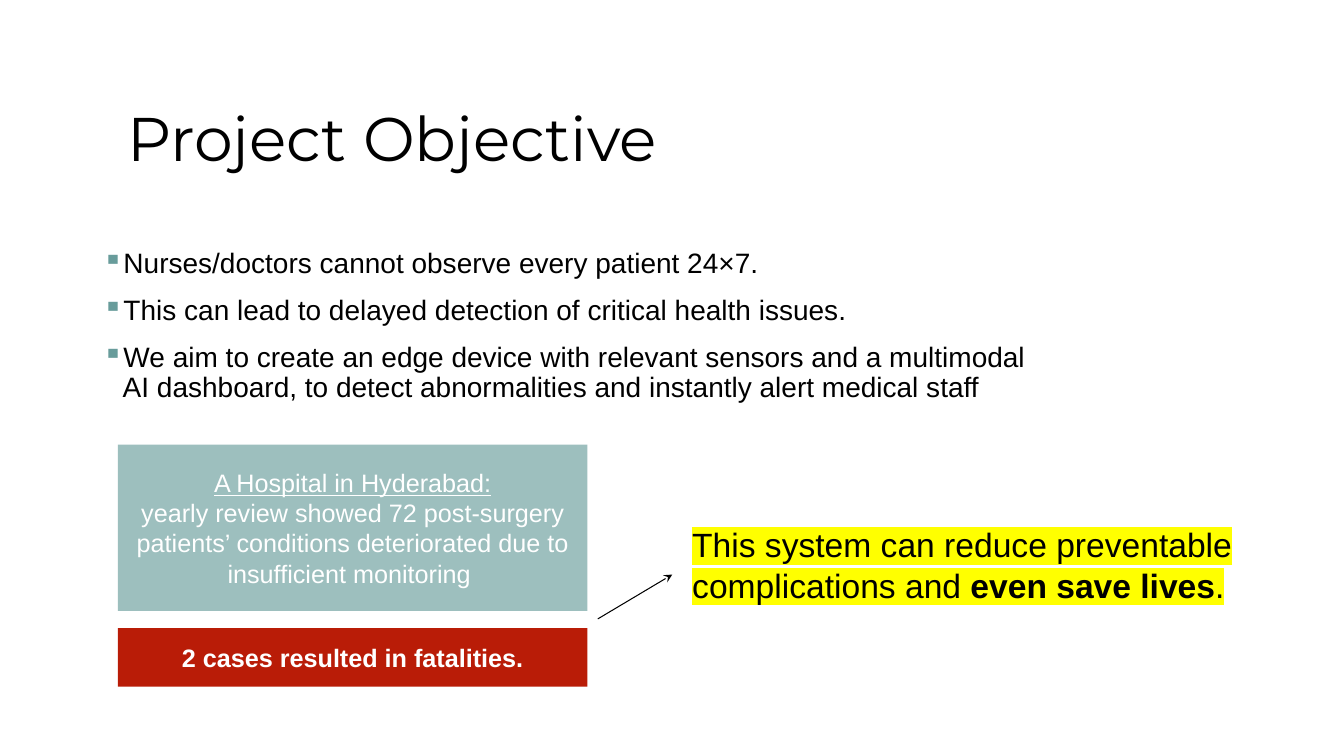
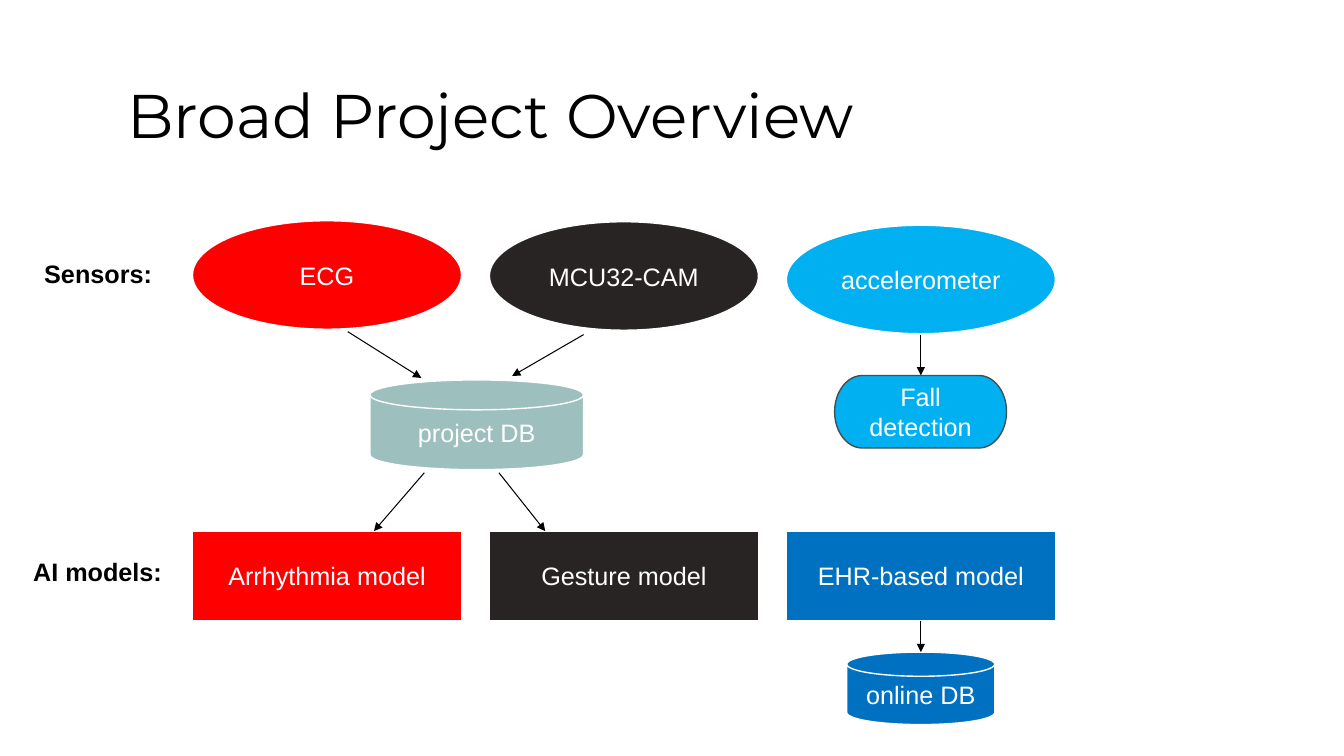
from dataclasses import dataclass
from typing import NamedTuple

from lxml.etree import SubElement
from pptx import Presentation
from pptx.dml.color import RGBColor
from pptx.enum.shapes import MSO_CONNECTOR, MSO_SHAPE
from pptx.enum.text import MSO_ANCHOR, PP_ALIGN
from pptx.oxml.ns import qn
from pptx.util import Pt


# Theme: colours, fonts and type sizes
@dataclass(frozen=True)
class Theme:
    black: str = "000000"
    white: str = "FFFFFF"
    sage: str = "9DBFBE"
    bullet: str = "689C9B"
    slate: str = "425050"
    brick: str = "B91C07"
    yellow: str = "FFFF00"
    red: str = "FF0000"
    charcoal: str = "282424"
    sky: str = "00B0F0"
    blue: str = "0070C0"
    title_font: str = "Montserrat"
    body_font: str = "Arial"
    title_size: float = 44
    callout_size: float = 24
    bullet_size: float = 20
    label_size: float = 18
    outline: float = 1
    arrow: float = 0.75


THEME = Theme()


# Repeated elements, all lengths in points
class Frame(NamedTuple):
    left: float
    top: float
    width: float
    height: float

    def lengths(self) -> list[Pt]:
        return [Pt(value) for value in self]


@dataclass(frozen=True)
class Node:
    text: str
    frame: Frame
    fill: str
    kind: MSO_SHAPE = MSO_SHAPE.RECTANGLE
    line: str | None = THEME.white
    bold: bool = False
    heading: str = ""


class Arrow(NamedTuple):
    start: tuple[float, float]
    end: tuple[float, float]
    head: str = "triangle"


# Text helpers
def write(para, text: str, *, size: float = THEME.label_size,
          font: str = THEME.body_font, color: str = THEME.black,
          bold: bool = False, underline: bool = False,
          highlight: str | None = None) -> None:
    span = para.add_run()
    span.text = text
    span.font.size = Pt(size)
    span.font.bold = bold
    span.font.underline = underline
    span.font.color.rgb = RGBColor.from_string(color)
    span.font.name = font
    if highlight:
        properties = span.font._element
        mark = SubElement(properties, qn("a:highlight"))
        SubElement(mark, qn("a:srgbClr"), val=highlight)
        properties.find(qn("a:latin")).addprevious(mark)


def add_text_box(page, frame: Frame, anchor=MSO_ANCHOR.TOP):
    text_frame = page.shapes.add_textbox(*frame.lengths()).text_frame
    text_frame.word_wrap = True
    text_frame.vertical_anchor = anchor
    return text_frame


def add_title(page, text: str, width: float, height: float) -> None:
    box = add_text_box(page, Frame(84, 38, width, height), MSO_ANCHOR.MIDDLE)
    para = box.paragraphs[0]
    para.line_spacing = 0.9
    write(para, text, size=THEME.title_size, font=THEME.title_font)


def add_bullets(page, frame: Frame, items: list[str]) -> None:
    box = add_text_box(page, frame)
    for index, item in enumerate(items):
        para = box.add_paragraph() if index else box.paragraphs[0]
        para.line_spacing = 0.9
        para.space_after = Pt(12)
        properties = para._p.get_or_add_pPr()
        properties.set("marL", str(Pt(14.4)))
        properties.set("indent", str(-Pt(14.4)))
        color = SubElement(properties, qn("a:buClr"))
        SubElement(color, qn("a:srgbClr"), val=THEME.bullet)
        SubElement(properties, qn("a:buChar"), char="▪")
        write(para, item, size=THEME.bullet_size)


# Shape helpers
def add_node(page, node: Node) -> None:
    shape = page.shapes.add_shape(node.kind, *node.frame.lengths())
    shape.shadow.inherit = False
    shape.fill.solid()
    shape.fill.fore_color.rgb = RGBColor.from_string(node.fill)
    if node.line:
        shape.line.color.rgb = RGBColor.from_string(node.line)
        shape.line.width = Pt(THEME.outline)
    else:
        shape.line.fill.background()
    shape.text_frame.word_wrap = True
    shape.text_frame.vertical_anchor = MSO_ANCHOR.MIDDLE
    para = shape.text_frame.paragraphs[0]
    para.alignment = PP_ALIGN.CENTER
    if node.heading:
        write(para, node.heading, color=THEME.white, underline=True)
        para.add_line_break()
    write(para, node.text, color=THEME.white, bold=node.bold)


def add_arrow(page, arrow: Arrow) -> None:
    ends = [Pt(value) for value in (*arrow.start, *arrow.end)]
    connector = page.shapes.add_connector(MSO_CONNECTOR.STRAIGHT, *ends)
    connector.line.color.rgb = RGBColor.from_string(THEME.black)
    connector.line.width = Pt(THEME.arrow)
    properties = connector._element.spPr
    SubElement(properties.find(qn("a:ln")), qn("a:tailEnd"), type=arrow.head)
    SubElement(properties, qn("a:effectLst"))


# Slide 1: objective
def build_objective(page) -> None:
    add_title(page, "Project Objective", 461.5, 126.7)
    add_bullets(page, Frame(66.2, 174.6, 696.2, 156), [
        "Nurses/doctors cannot observe every patient 24×7.",
        "This can lead to delayed detection of critical health issues.",
        "We aim to create an edge device with relevant sensors and a multimodal "
        "AI dashboard, to detect abnormalities and instantly alert medical staff",
    ])
    add_node(page, Node(
        "yearly review showed 72 post-surgery patients’ conditions "
        "deteriorated due to insufficient monitoring ",
        Frame(84.2, 317.5, 335.5, 118.8), THEME.sage, line=None,
        heading="A Hospital in Hyderabad:"))
    add_node(page, Node(
        "2 cases resulted in fatalities.",
        Frame(84.2, 448.6, 335.5, 41.8), THEME.brick, line=None, bold=True))

    # Highlighted conclusion
    para = add_text_box(page, Frame(487.4, 370.8, 408.2, 65.5)).paragraphs[0]
    for text, bold in (
        ("This system can reduce preventable complications and ", False),
        ("even save lives", True),
        (".", False),
    ):
        write(para, text, size=THEME.callout_size, bold=bold,
              highlight=THEME.yellow)
    add_arrow(page, Arrow((427, 442.1), (480.2, 410.4), "stealth"))


# Slide 2: overview
def build_overview(page) -> None:
    add_title(page, "Broad Project Overview", 734.4, 92.9)

    # Three columns: a sensor above a model
    column_left, column_pitch, column_width = 137.5, 212.1, 192.2
    columns = [
        ("ECG", THEME.red, 157.7, "Arrhythmia model", THEME.red),
        ("MCU32-CAM", THEME.charcoal, 158.4, "Gesture model", THEME.charcoal),
        ("accelerometer", THEME.sky, 160.9, "EHR-based model", THEME.blue),
    ]
    for index, (sensor, sensor_fill, top, model, model_fill) in enumerate(columns):
        left = column_left + index * column_pitch
        add_node(page, Node(sensor, Frame(left, top, column_width, 77.5),
                            sensor_fill, MSO_SHAPE.OVAL))
        add_node(page, Node(model, Frame(left, 379.4, column_width, 63.7),
                            model_fill))

    # Databases and fall detection
    disk = MSO_SHAPE.FLOWCHART_MAGNETIC_DISK
    for node in (
        Node("project DB", Frame(264.2, 271.4, 152.6, 64.1), THEME.sage, disk),
        Node("online DB", Frame(604.8, 465.8, 105.8, 51.8), THEME.blue, disk),
        Node("Fall detection", Frame(596.2, 268.2, 122.8, 51.8), THEME.sky,
             MSO_SHAPE.FLOWCHART_TERMINATOR, THEME.slate),
    ):
        add_node(page, node)

    # Data flow
    last_center = column_left + 2 * column_pitch + column_width / 2
    for arrow in (
        Arrow((248.4, 236.9), (301, 270)),
        Arrow((416.9, 239), (365.8, 268.6)),
        Arrow((303.1, 337.7), (267.1, 379.4)),
        Arrow((356.4, 337.7), (389.5, 379.4)),
        Arrow((last_center, 239), (last_center, 268.2)),
        Arrow((last_center, 443.5), (last_center, 465.8)),
    ):
        add_arrow(page, arrow)

    # Row labels
    for label, frame in (
        ("Sensors:", Frame(24.5, 180.7, 101.5, 29)),
        ("AI models:", Frame(16.6, 393.8, 109.4, 29)),
    ):
        write(add_text_box(page, frame).paragraphs[0], label, bold=True)


def main() -> None:
    deck = Presentation()
    deck.slide_width, deck.slide_height = Pt(960), Pt(540)
    for build in (build_objective, build_overview):
        build(deck.slides.add_slide(deck.slide_layouts[6]))
    deck.save("out.pptx")


if __name__ == "__main__":
    main()
